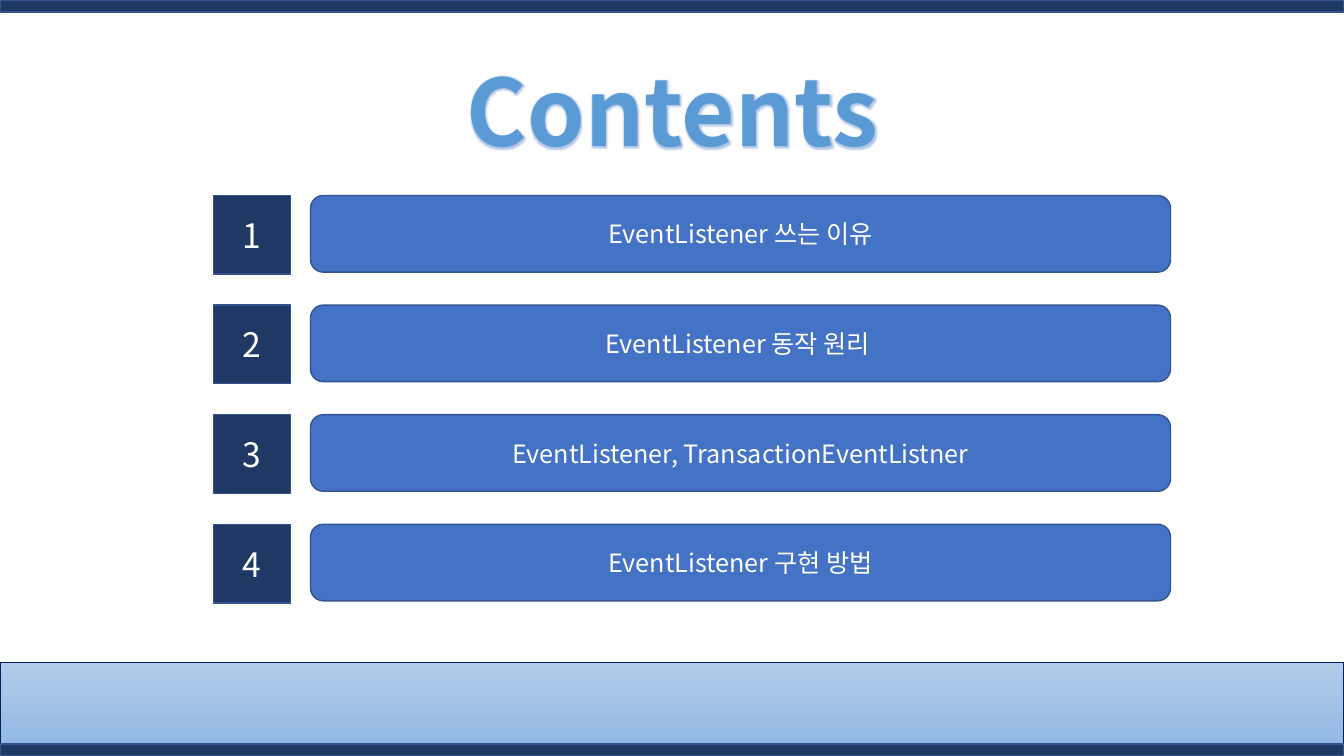
from lxml.etree import SubElement
from pptx import Presentation
from pptx.dml.color import RGBColor
from pptx.enum.shapes import MSO_SHAPE as Shape
from pptx.enum.text import MSO_ANCHOR as Anchor, MSO_AUTO_SIZE as AutoSize, PP_ALIGN as Align
from pptx.oxml import parse_xml
from pptx.oxml.ns import nsdecls, qn
from pptx.util import Inches, Pt

FONT = "Noto Sans CJK KR"
COLORS = {
    "navy": "203864",
    "edge": "325491",
    "blue": "4472C4",
    "title": "5B9BD5",
    "white": "FFFFFF",
    "band_top": "B1CBE9",
    "band_bottom": "93B9E4",
    "band_edge": "002060",
}


def color(name):
    return RGBColor.from_string(COLORS[name])


def write(box, text, size, ink="white", bold=False, anchor=Anchor.MIDDLE):
    frame = box.text_frame
    frame.word_wrap = True
    frame.vertical_anchor = anchor
    para = frame.paragraphs[0]
    para.alignment = Align.CENTER
    para.line_spacing = 1.0
    span = para.add_run()
    span.text = text
    span.font.size = Pt(size)
    span.font.bold = bold
    span.font.name = FONT
    span.font.color.rgb = color(ink)
    SubElement(span.font._element, qn("a:ea"), typeface=FONT)
    return span


def add_panel(kind, left, top, width, height, fill, edge="edge"):
    panel = page.shapes.add_shape(kind, Inches(left), Inches(top), Inches(width), Inches(height))
    panel.shadow.inherit = False
    if fill:
        panel.fill.solid()
        panel.fill.fore_color.rgb = color(fill)
    panel.line.color.rgb = color(edge)
    panel.line.width = Pt(1)
    return panel


deck = Presentation()
deck.slide_width = Inches(13.33)
deck.slide_height = Inches(7.5)
page = deck.slides.add_slide(deck.slide_layouts[5])

band = add_panel(Shape.RECTANGLE, 0, 6.57, 13.33, 0.82, None, "band_edge")
band.fill.gradient()
band.fill.gradient_angle = 270
for stop, name in zip(band.fill.gradient_stops, ("band_top", "band_bottom")):
    stop.color.rgb = color(name)
for position, stop in enumerate(band.fill.gradient_stops):
    stop.position = position

for top in (0, 7.38):
    add_panel(Shape.RECTANGLE, 0, top, 13.33, 0.12, "navy")

title = page.shapes.title
title.left, title.top = Inches(4.17), Inches(0.49)
title.width, title.height = Inches(5), Inches(1.21)
title_span = write(title, "Contents", 66, "title", True, Anchor.TOP)
title.text_frame.auto_size = AutoSize.SHAPE_TO_FIT_TEXT
title_format = title_span.font._element
outline = parse_xml(
    f'<a:ln {nsdecls("a")} w="9525"><a:solidFill><a:srgbClr val="{COLORS["white"]}"/></a:solidFill></a:ln>'
)
glow = parse_xml(
    f'<a:effectLst {nsdecls("a")}><a:glow rad="38100"><a:srgbClr val="{COLORS["blue"]}">'
    '<a:alpha val="40000"/></a:srgbClr></a:glow></a:effectLst>'
)
title_format.insert(0, outline)
title_format.find(qn("a:solidFill")).addnext(glow)

topics = [
    "EventListener 쓰는 이유",
    "EventListener 동작 원리 ",
    "EventListener, TransactionEventListner",
    "EventListener 구현 방법",
]
for index, topic in enumerate(topics):
    top = 1.94 + index * 1.087
    number = add_panel(Shape.RECTANGLE, 2.12, top, 0.76, 0.78, "navy")
    write(number, str(index + 1), 24)
    bar = add_panel(Shape.ROUNDED_RECTANGLE, 3.08, top, 8.53, 0.76, "blue")
    write(bar, topic, 18)

deck.save("out.pptx")
